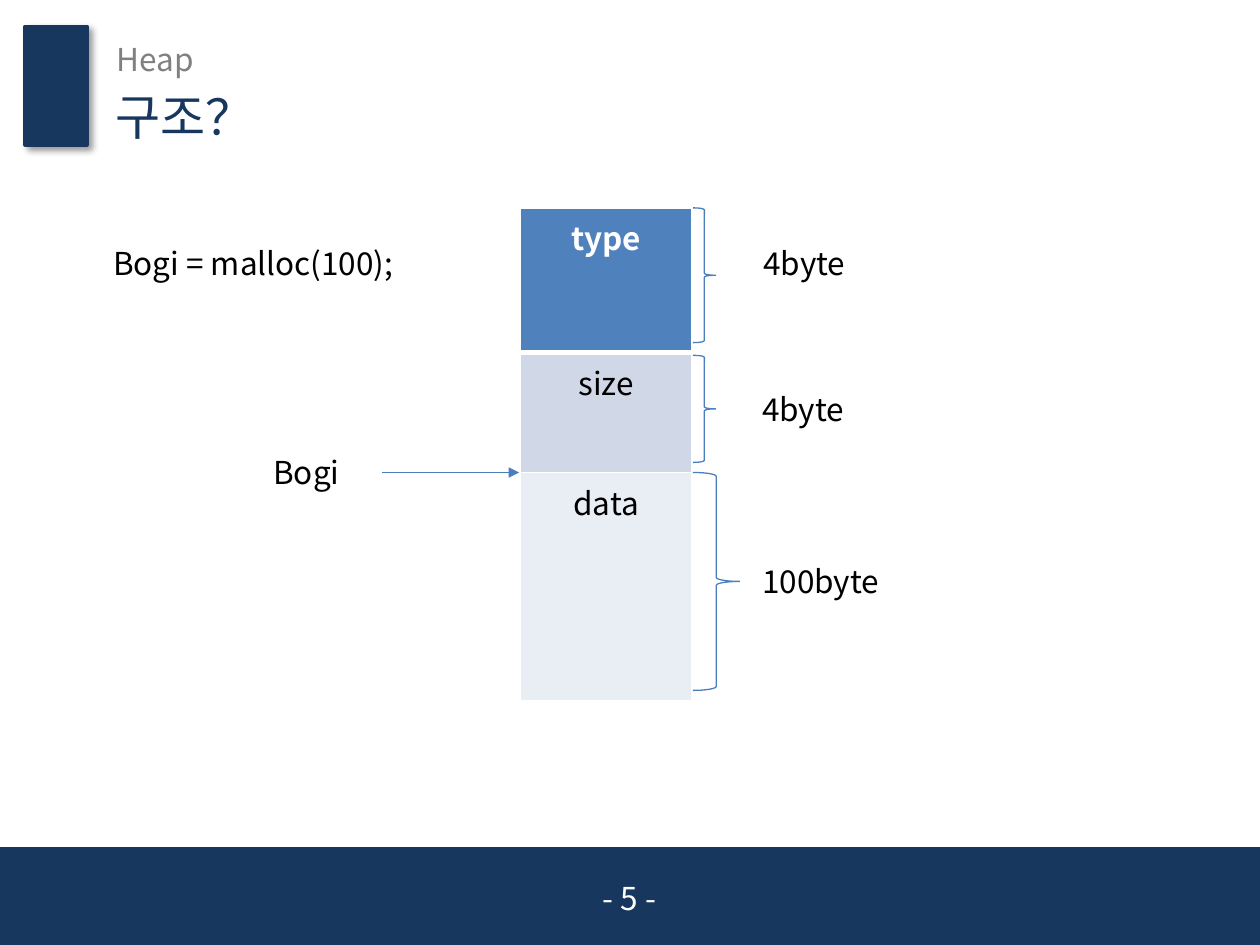
"""Build the slide that explains the layout of a heap block."""
from dataclasses import dataclass

from lxml import etree
from pptx import Presentation
from pptx.dml.color import RGBColor
from pptx.enum.shapes import MSO_CONNECTOR, MSO_SHAPE
from pptx.enum.text import MSO_ANCHOR, MSO_AUTO_SIZE, PP_ALIGN
from pptx.oxml.ns import qn
from pptx.util import Inches, Pt

RECTANGLE, BRACE = MSO_SHAPE.RECTANGLE, MSO_SHAPE.RIGHT_BRACE
STRAIGHT = MSO_CONNECTOR.STRAIGHT
LEFT, CENTER = PP_ALIGN.LEFT, PP_ALIGN.CENTER
TOP, MIDDLE = MSO_ANCHOR.TOP, MSO_ANCHOR.MIDDLE
FIT_SHAPE = MSO_AUTO_SIZE.SHAPE_TO_FIT_TEXT


@dataclass(frozen=True)
class Theme:
    """Colours, font and sizes of the deck."""
    font: str = "Noto Sans CJK KR"
    navy: str = "17375E"
    gray: str = "808080"
    black: str = "000000"
    white: str = "FFFFFF"
    stroke: str = "4B7EBC"
    type_fill: str = "4F81BD"
    size_fill: str = "D0D8E8"
    data_fill: str = "E9EDF4"
    body: int = 18
    title: int = 28
    thin: float = 0.75
    thick: float = 2


def rgb(color):
    return RGBColor.from_string(color)


def write(frame, text, *, font, size, color, bold=False, align=LEFT, before=0):
    paragraph = frame.paragraphs[0]
    paragraph.alignment = align
    paragraph.space_before = Pt(before)
    run = paragraph.add_run()
    run.text = text
    run.font.name = font
    run.font.size = Pt(size)
    run.font.bold = bold
    run.font.color.rgb = rgb(color)
    east_asian = etree.SubElement(run.font._element, qn("a:ea"))
    east_asian.set("typeface", font)


class SlideBuilder:
    """Draws each kind of element on the current slide in one theme."""

    def __init__(self, slide, theme):
        self.slide, self.theme = slide, theme

    def shape(self, kind, left, top, width, height, *, line, weight, fill=None):
        shape = self.slide.shapes.add_shape(
            kind, Inches(left), Inches(top), Inches(width), Inches(height))
        shape.shadow.inherit = False
        if fill:
            shape.fill.solid()
            shape.fill.fore_color.rgb = rgb(fill)
        else:
            shape.fill.background()
        shape.line.color.rgb = rgb(line)
        shape.line.width = Pt(weight)
        return shape

    def bar(self, left, top, width, height):
        navy = self.theme.navy
        return self.shape(RECTANGLE, left, top, width, height,
                          line=navy, weight=self.theme.thick, fill=navy)

    def brace(self, left, top, width, height):
        self.shape(BRACE, left, top, width, height,
                   line=self.theme.stroke, weight=self.theme.thin)

    def cast_shadow(self, shape):
        effects = shape._element.spPr.find(qn("a:effectLst"))
        shadow = etree.SubElement(
            effects, qn("a:outerShdw"), blurRad=str(Pt(4)), dist=str(Pt(3)),
            dir=str(45 * 60000), algn="tl", rotWithShape="0")
        color = etree.SubElement(shadow, qn("a:srgbClr"), val=self.theme.black)
        etree.SubElement(color, qn("a:alpha"), val="40000")

    def text(self, text, left, top, width, height=0.4, *, anchor=TOP, grow=True,
             size=None, color=None, **style):
        box = self.slide.shapes.add_textbox(
            Inches(left), Inches(top), Inches(width), Inches(height))
        frame = box.text_frame
        frame.word_wrap = True
        frame.vertical_anchor = anchor
        if grow:
            frame.auto_size = FIT_SHAPE
        write(frame, text, font=self.theme.font, size=size or self.theme.body,
              color=color or self.theme.black, **style)

    def arrow(self, start, end, y):
        arrow = self.slide.shapes.add_connector(
            STRAIGHT, Inches(start), Inches(y), Inches(end), Inches(y))
        arrow.line.color.rgb = rgb(self.theme.stroke)
        arrow.line.width = Pt(self.theme.thin)
        etree.SubElement(arrow.line._get_or_add_ln(), qn("a:tailEnd"), type="triangle")
        etree.SubElement(arrow._element.spPr, qn("a:effectLst"))

    def borders(self, cell, **weights):
        properties = cell._tc.get_or_add_tcPr()
        for index, (side, weight) in enumerate(weights.items()):
            border = etree.Element(qn(f"a:ln{side}"), w=str(Pt(weight)))
            fill = etree.SubElement(border, qn("a:solidFill"))
            etree.SubElement(fill, qn("a:srgbClr"), val=self.theme.white)
            properties.insert(index, border)

    def block_table(self, left, top, width, fields):
        total = sum(height for _, height, _ in fields)
        table = self.slide.shapes.add_table(
            len(fields), 1, Inches(left), Inches(top), Inches(width), Inches(total)).table
        for index, (name, height, fill) in enumerate(fields):
            table.rows[index].height = Inches(height)
            cell = table.cell(index, 0)
            cell.fill.solid()
            cell.fill.fore_color.rgb = rgb(fill)
            header = index == 0
            write(cell.text_frame, name, font=self.theme.font, size=self.theme.body,
                  color=self.theme.white if header else self.theme.black,
                  bold=header, align=CENTER)
            self.borders(cell, L=1, R=1, T=3 if index == 1 else 1, B=3 if header else 1)


def main():
    theme = Theme()
    deck = Presentation()
    deck.slide_width, deck.slide_height = Inches(10), Inches(7.5)
    builder = SlideBuilder(deck.slides.add_slide(deck.slide_layouts[6]), theme)

    builder.bar(0, 6.74, 10, 0.78)
    builder.cast_shadow(builder.bar(0.2, 0.21, 0.49, 0.94))
    builder.text("- 5 -", 3.83, 6.93, 2.33, anchor=MIDDLE, grow=False,
                 color=theme.white, align=CENTER)
    builder.text("Heap", 0.83, 0.22, 7.48, 0.5, anchor=MIDDLE, grow=False,
                 color=theme.gray, before=3.6)
    builder.text("구조？", 0.82, 0.67, 7.48, 0.5, anchor=MIDDLE, grow=False,
                 size=theme.title, color=theme.navy, before=5.6)

    builder.block_table(4.13, 1.65, 1.36, [
        ("type", 1.15, theme.type_fill),
        ("size", 0.95, theme.size_fill),
        ("data", 1.81, theme.data_fill),
    ])
    field_sizes = [
        ("4byte", 1.65, 0.18, 1.07, 5.96, 1.89, 0.94),
        ("4byte", 2.82, 0.18, 0.85, 5.95, 3.05, 0.94),
        ("100byte", 3.75, 0.37, 1.73, 5.95, 4.41, 1.49),
    ]
    for size, top, depth, span, label_left, label_top, label_width in field_sizes:
        builder.brace(5.5, top, depth, span)
        builder.text(size, label_left, label_top, label_width)

    builder.text("Bogi = malloc(100);", 0.8, 1.89, 3.32)
    builder.text("Bogi", 2.07, 3.55, 1.18)
    builder.arrow(3.03, 4.12, 3.75)
    deck.save("out.pptx")


if __name__ == "__main__":
    main()
